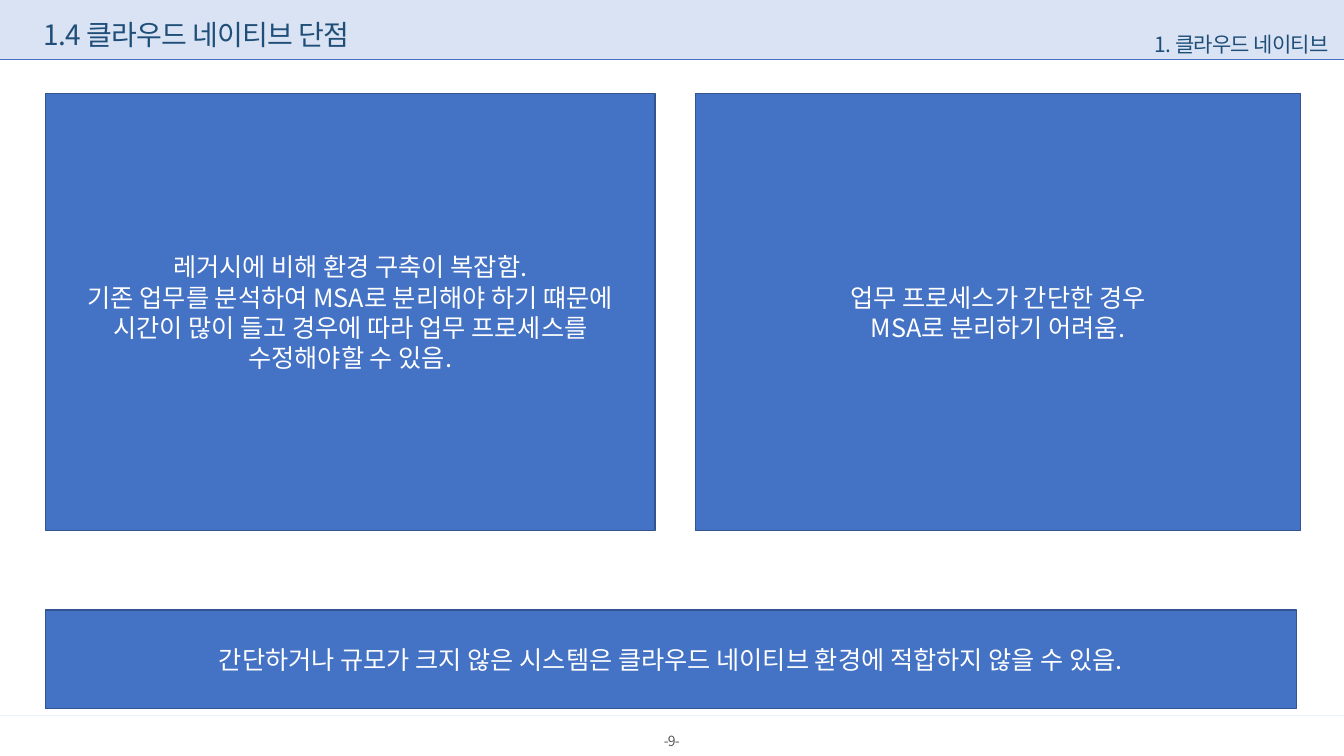
from lxml import etree
from pptx import Presentation
from pptx.dml.color import RGBColor
from pptx.enum.shapes import MSO_CONNECTOR, MSO_SHAPE
from pptx.enum.text import MSO_ANCHOR, PP_ALIGN
from pptx.oxml.ns import qn
from pptx.util import Pt

RECTANGLE = MSO_SHAPE.RECTANGLE
STRAIGHT = MSO_CONNECTOR.STRAIGHT
MIDDLE = MSO_ANCHOR.MIDDLE
LEFT, CENTER, RIGHT = PP_ALIGN.LEFT, PP_ALIGN.CENTER, PP_ALIGN.RIGHT

FONT = "Noto Sans CJK KR"
WIDTH, HEIGHT = 960, 540
HEADER_HEIGHT = 42.5
FOOTER_TOP = 511.2
CARD_TOP, CARD_HEIGHT = 67, 311.8
BLUE, DARK_BLUE, NAVY = "4472C4", "325491", "1F4E79"


def color(value):
    """Turn a hex string into a colour."""
    return RGBColor.from_string(value)


def write(shape, text, size=18, ink="FFFFFF", align=CENTER, line_spacing=1.0, tracking=0):
    """Fill a shape with one paragraph for each line of text."""
    frame = shape.text_frame
    frame.word_wrap = True
    frame.vertical_anchor = MIDDLE
    for index, line in enumerate(text.split("\n")):
        para = frame.add_paragraph() if index else frame.paragraphs[0]
        para.alignment = align
        para.line_spacing = line_spacing
        span = para.add_run()
        span.text = line
        span.font.size = Pt(size)
        span.font.color.rgb = color(ink)
        span.font.name = FONT
        properties = span.font._element
        etree.SubElement(properties, qn("a:ea"), typeface=FONT)
        if tracking:
            properties.set("spc", str(round(tracking * 100)))


def add_label(page, text, left, top, width, height, **style):
    """Place a tightly spaced text box."""
    box = page.shapes.add_textbox(Pt(left), Pt(top), Pt(width), Pt(height))
    write(box, text, line_spacing=0.9, tracking=-0.5, **style)


def add_panel(page, left, top, width, height, fill, outline=None):
    """Draw a flat rectangle and return it."""
    panel = page.shapes.add_shape(RECTANGLE, Pt(left), Pt(top), Pt(width), Pt(height))
    panel.shadow.inherit = False
    panel.fill.solid()
    panel.fill.fore_color.rgb = color(fill)
    if outline:
        panel.line.color.rgb = color(outline)
        panel.line.width = Pt(1)
    else:
        panel.line.fill.background()
    return panel


def add_card(page, text, left, top, width, height):
    """Draw a blue card with white text."""
    write(add_panel(page, left, top, width, height, BLUE, DARK_BLUE), text)


def add_rule(page, top, ink):
    """Draw a thin line across the page."""
    rule = page.shapes.add_connector(STRAIGHT, Pt(0), Pt(top), Pt(WIDTH), Pt(top))
    rule.line.color.rgb = color(ink)
    rule.line.width = Pt(0.5)
    etree.SubElement(rule._element.spPr, qn("a:effectLst"))


def main():
    """Build the slide and save it."""
    deck = Presentation()
    deck.slide_width, deck.slide_height = Pt(WIDTH), Pt(HEIGHT)
    page = deck.slides.add_slide(deck.slide_layouts[6])

    add_panel(page, 0, 0, WIDTH, HEADER_HEIGHT, "DAE3F3")
    add_label(page, "-9-", 449.3, 521.3, 61.2, 17.3, size=10, ink="595959")
    add_rule(page, FOOTER_TOP, "EBF2F9")
    add_rule(page, HEADER_HEIGHT, BLUE)
    add_label(page, "1.4 클라우드 네이티브 단점", 23.8, 10.8, 290, 31,
              size=20, ink=NAVY, align=LEFT)
    add_label(page, "1. 클라우드 네이티브", 687.6, 21.6, 268.6, 21.6,
              size=15, ink=NAVY, align=RIGHT)

    add_card(page, "업무 프로세스가 간단한 경우\nMSA로 분리하기 어려움.",
             496.8, CARD_TOP, 432, CARD_HEIGHT)
    add_card(page, "레거시에 비해 환경 구축이 복잡함.\n"
             "기존 업무를 분석하여 MSA로 분리해야 하기 떄문에 시간이 많이 들고 "
             "경우에 따라 업무 프로세스를 수정해야할 수 있음.",
             32.4, CARD_TOP, 435.6, CARD_HEIGHT)
    add_card(page, "간단하거나 규모가 크지 않은 시스템은 클라우드 네이티브 환경에 "
             "적합하지 않을 수 있음.", 32.4, 435.6, 893.5, 70.6)

    deck.save("out.pptx")


if __name__ == "__main__":
    main()
